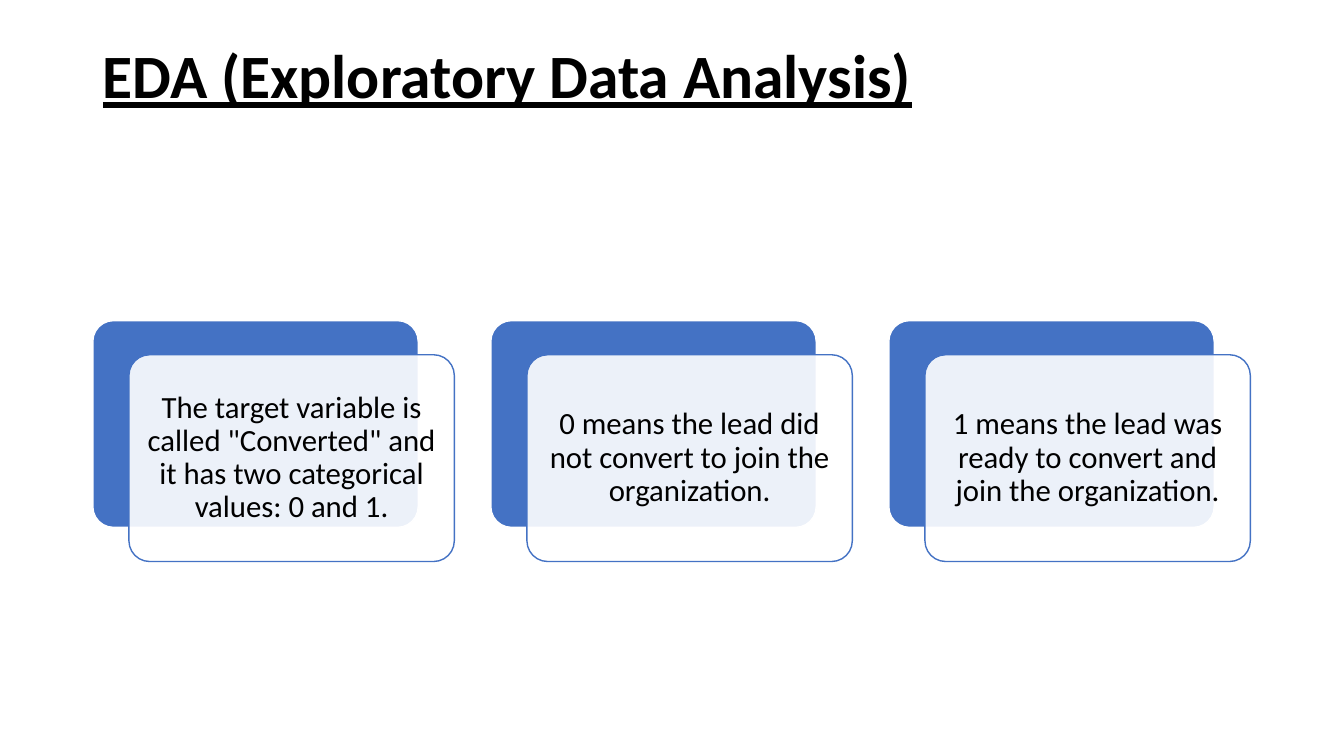
from dataclasses import dataclass

from lxml.etree import SubElement
from pptx import Presentation
from pptx.dml.color import RGBColor as Color
from pptx.enum.shapes import MSO_SHAPE as Shape
from pptx.enum.text import MSO_ANCHOR as Anchor, MSO_AUTO_SIZE as AutoSize, PP_ALIGN as Align
from pptx.oxml.ns import qn
from pptx.util import Cm, Pt


@dataclass(frozen=True)
class Theme:
    font: str = "Calibri"
    accent: Color = Color(0x44, 0x72, 0xC4)
    paper: Color = Color(0xFF, 0xFF, 0xFF)
    ink: Color = Color(0, 0, 0)
    title_size: Pt = Pt(44)
    body_size: Pt = Pt(22)
    line_width: Pt = Pt(1)


THEME = Theme()

CARD_TEXTS = [
    'The target variable is called "Converted" and it has two categorical values: 0 and 1.',
    "0 means the lead did not convert to join the organization.",
    "1 means the lead was ready to convert and join the organization.",
]
CARD_LEFT, CARD_TOP = Cm(2.34), Cm(8.08)
CARD_WIDTH, CARD_HEIGHT = Cm(8.2), Cm(5.21)
CARD_PITCH = Cm(10.03)
PANEL_SHIFT_X, PANEL_SHIFT_Y = Cm(0.91), Cm(0.86)


def write_text(shape, text, *, size, align, anchor, margin_x, margin_y,
               bold=False, underline=False):
    frame = shape.text_frame
    frame.word_wrap = True
    frame.auto_size = AutoSize.NONE
    frame.vertical_anchor = anchor
    frame.margin_left = frame.margin_right = margin_x
    frame.margin_top = frame.margin_bottom = margin_y
    paragraph = frame.paragraphs[0]
    paragraph.alignment = align
    paragraph.line_spacing = 0.9
    run = paragraph.add_run()
    run.text = text
    font = run.font
    font.name, font.size = THEME.font, size
    font.bold, font.underline = bold, underline
    font.color.rgb = THEME.ink


def add_title(slide, text):
    title = slide.shapes.title
    title.left, title.top = Cm(2.34), Cm(1.02)
    title.width, title.height = Cm(29.21), Cm(3.68)
    write_text(title, text, size=THEME.title_size, align=Align.LEFT, anchor=Anchor.TOP,
               margin_x=Cm(0.25), margin_y=Cm(0.13), bold=True, underline=True)


def add_rounded_box(slide, left, top, *, fill, line, opacity=100):
    box = slide.shapes.add_shape(Shape.ROUNDED_RECTANGLE, left, top, CARD_WIDTH, CARD_HEIGHT)
    box.adjustments[0] = 0.1
    box.shadow.inherit = False
    box.fill.solid()
    box.fill.fore_color.rgb = fill
    box.line.color.rgb = line
    box.line.width = THEME.line_width
    if opacity < 100:
        color = box.fill._xPr.find(qn("a:solidFill"))[0]
        SubElement(color, qn("a:alpha")).set("val", str(opacity * 1000))
    return box


def add_card(slide, left, text):
    """Add a solid backing box and, shifted over it, a translucent panel with text."""
    add_rounded_box(slide, left, CARD_TOP, fill=THEME.accent, line=THEME.paper)
    panel = add_rounded_box(slide, left + PANEL_SHIFT_X, CARD_TOP + PANEL_SHIFT_Y,
                            fill=THEME.paper, line=THEME.accent, opacity=90)
    write_text(panel, text, size=THEME.body_size, align=Align.CENTER, anchor=Anchor.MIDDLE,
               margin_x=Cm(0.3), margin_y=Cm(0.3))


def main():
    presentation = Presentation()
    presentation.slide_width, presentation.slide_height = Cm(33.87), Cm(19.05)
    slide = presentation.slides.add_slide(presentation.slide_layouts.get_by_name("Title Only"))
    add_title(slide, "EDA (Exploratory Data Analysis)")
    for index, text in enumerate(CARD_TEXTS):
        add_card(slide, CARD_LEFT + index * CARD_PITCH, text)
    presentation.save("out.pptx")


if __name__ == "__main__":
    main()
